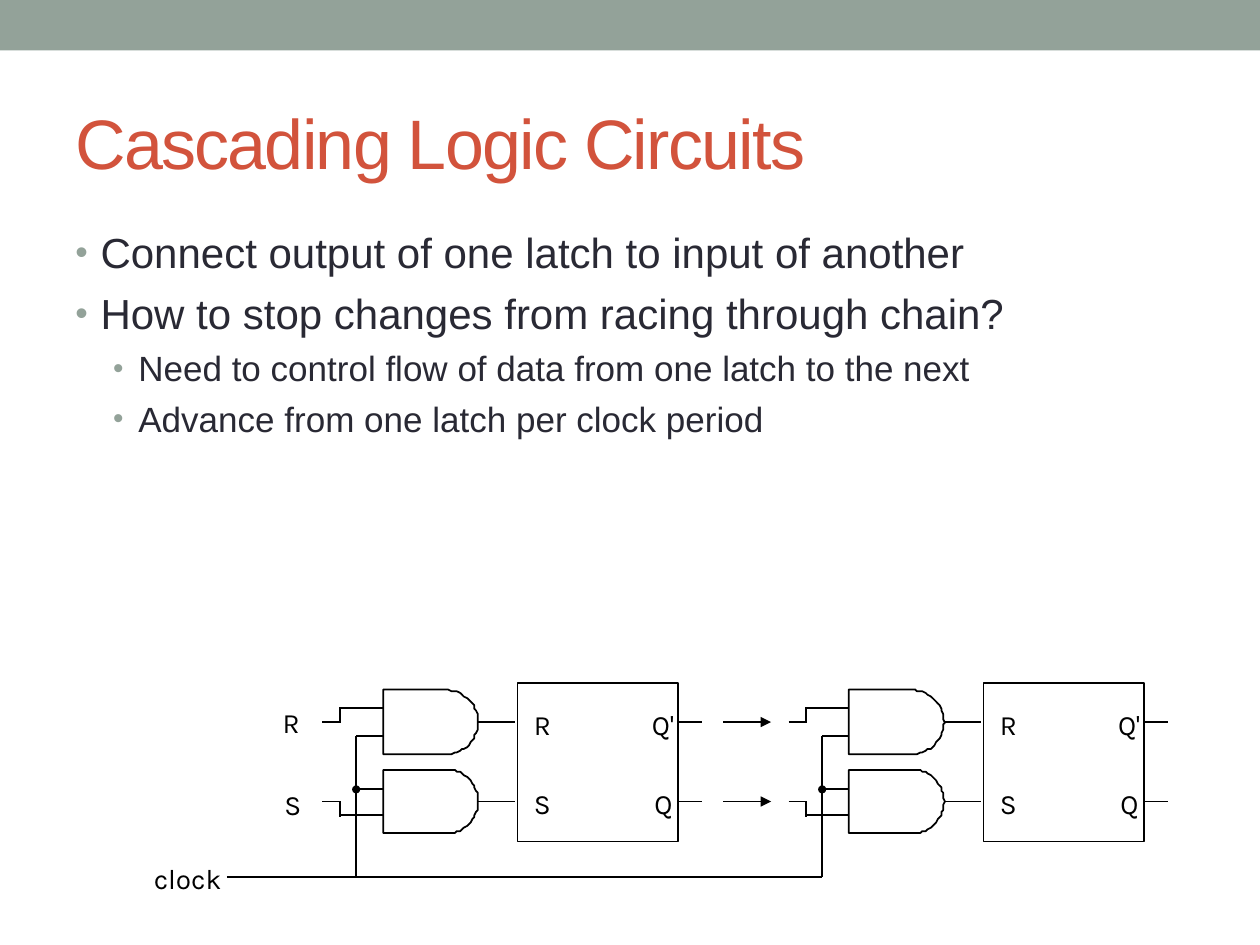
import math
from dataclasses import dataclass

import pptx
import pptx.dml.color
import pptx.enum.shapes
import pptx.enum.text
import pptx.oxml.ns
import pptx.util
from lxml import etree

Pt = pptx.util.Pt
Kind = pptx.enum.shapes.MSO_SHAPE
Align = pptx.enum.text.PP_ALIGN
Anchor = pptx.enum.text.MSO_ANCHOR
qn = pptx.oxml.ns.qn

INK, PAPER, SAGE, RUST, SLATE = "000000", "FFFFFF", "93A299", "D2533C", "292934"
ROWS = (412.6, 458.0)       # heights of the R and S signals
STAGES = (0, 266.3)         # left offset of each latch
BUS = 501.1                 # height of the clock line


@dataclass
class Wire:
    x1: float
    y1: float
    x2: float
    y2: float


@dataclass
class Label:
    text: str
    left: float
    top: float
    width: float
    lead: float = 20.8
    right: bool = False


@dataclass
class Point:
    text: str
    size: float
    indent: float


# Wires of one latch, placed for the first stage
WIRES = [
    Wire(184.3, ROWS[0], 194.6, ROWS[0]),
    Wire(194.4, 404.2, 194.4, ROWS[0]),
    Wire(194.4, 404.6, 218.9, 404.6),
    Wire(184.3, ROWS[1], 194.6, ROWS[1]),
    Wire(194.4, 466.6, 194.4, ROWS[1]),
    Wire(195.1, 465.8, 218.9, 465.8),
    Wire(203.5, 420.5, 218.9, 420.5),
    Wire(203.5, 450.7, 218.9, 450.7),
    Wire(203.5, 420.5, 203.5, BUS),
    *[Wire(272.9, y, 294.5, y) for y in ROWS],
    *[Wire(387.4, y, 401, y) for y in ROWS],
]
PINS = [
    Label("R", 303.6, 400.3, 29),
    Label("S", 303.6, 445.7, 29),
    Label("Q'", 343.6, 400.3, 43, right=True),
    Label("Q", 356.3, 445.7, 29.5, right=True),
]
INPUTS = [
    Label("clock", 54, 487.4, 74, 21.8, True),
    Label("R", 160, 398.5, 46, 21.8),
    Label("S", 161, 445, 46, 21.8),
]
POINTS = [
    Point("Connect output of one latch to input of another", 24, 14.4),
    Point("How to stop changes from racing through chain?", 24, 14.4),
    Point("Need to control flow of data from one latch to the next", 20, 36),
    Point("Advance from one latch per clock period", 20, 36),
]


def tint(code: str) -> pptx.dml.color.RGBColor:
    return pptx.dml.color.RGBColor.from_string(code)


def style(shape, fill: str, line: str | None = None) -> None:
    shape.shadow.inherit = False
    shape.fill.solid()
    shape.fill.fore_color.rgb = tint(fill)
    if line:
        shape.line.color.rgb = tint(line)
        shape.line.width = Pt(1)
    else:
        shape.line.fill.background()


def draw_shape(slide, kind, left: float, top: float, wide: float, high: float,
               fill: str, line: str | None = None) -> None:
    shape = slide.shapes.add_shape(kind, Pt(left), Pt(top), Pt(wide), Pt(high))
    style(shape, fill, line)


def draw_wire(slide, wire: Wire, dx: float = 0, arrow: bool = False) -> None:
    line = slide.shapes.add_connector(
        pptx.enum.shapes.MSO_CONNECTOR.STRAIGHT,
        Pt(wire.x1 + dx), Pt(wire.y1), Pt(wire.x2 + dx), Pt(wire.y2))
    line.line.color.rgb = tint(INK)
    line.line.width = Pt(1)
    props = line._element.spPr
    if arrow:
        etree.SubElement(props.find(qn("a:ln")), qn("a:tailEnd"), type="triangle")
    etree.SubElement(props, qn("a:effectLst"))


def draw_gate(slide, mid: float, dx: float) -> None:
    left, bend, half, steps = 218.9 + dx, 254.9 + dx, 18.3, 36
    turns = [math.pi * (i / steps - 0.5) for i in range(steps + 1)]
    arc = [(bend + half * math.cos(t), mid + half * math.sin(t)) for t in turns]
    pen = slide.shapes.build_freeform(left, mid - half, scale=Pt(1))
    pen.add_line_segments([*arc, (left, mid + half)], close=True)
    style(pen.convert_to_shape(), PAPER, INK)


def add_box(slide, left: float, top: float, wide: float, high: float):
    box = slide.shapes.add_textbox(Pt(left), Pt(top), Pt(wide), Pt(high))
    box.text_frame.word_wrap = True
    return box.text_frame


def add_run(para, text: str, size: float, face: str, hue: str):
    run = para.add_run()
    run.text = text
    run.font.size = Pt(size)
    run.font.name = face
    run.font.color.rgb = tint(hue)
    return run


def draw_label(slide, label: Label, dx: float = 0) -> None:
    frame = add_box(slide, label.left + dx, label.top, label.width, 31)
    frame.margin_left = frame.margin_right = Pt(1.5)
    frame.margin_top = frame.margin_bottom = Pt(2.2)
    para = frame.paragraphs[0]
    para.alignment = Align.RIGHT if label.right else Align.LEFT
    para.line_spacing = Pt(label.lead)
    add_run(para, label.text, 16, "Karla", INK)


def draw_stage(slide, dx: float) -> None:
    draw_shape(slide, Kind.RECTANGLE, 295.7 + dx, 390.2, 91.6, 90.7, PAPER, INK)
    for mid in ROWS:
        draw_gate(slide, mid, dx)
    for wire in WIRES:
        draw_wire(slide, wire, dx)
    draw_shape(slide, Kind.OVAL, 201.7 + dx, 449.3, 3.6, 3.6, INK, INK)
    for pin in PINS:
        draw_label(slide, pin, dx)


def add_point(para, point: Point) -> None:
    para.space_before = Pt(point.size / 4)
    props = para._p.get_or_add_pPr()
    props.set("marL", str(Pt(point.indent)))
    props.set("indent", str(-Pt(14.4)))
    hue = etree.SubElement(props, qn("a:buClr"))
    etree.SubElement(hue, qn("a:srgbClr"), val=SAGE)
    etree.SubElement(props, qn("a:buSzPct"), val="85000")
    etree.SubElement(props, qn("a:buFont"), typeface="Arial")
    etree.SubElement(props, qn("a:buChar"), char="•")
    add_run(para, point.text, point.size, "Arial", SLATE)


def main() -> None:
    deck = pptx.Presentation()
    deck.slide_width, deck.slide_height = Pt(720), Pt(540)
    slide = deck.slides.add_slide(deck.slide_layouts[6])

    # Top band
    draw_shape(slide, Kind.RECTANGLE, 0, 0, 720, 28.8, SAGE)

    # Circuit
    for dx in STAGES:
        draw_stage(slide, dx)
    draw_wire(slide, Wire(129.6, BUS, 470, BUS))
    for y in ROWS:
        draw_wire(slide, Wire(413.3, y, 440.6, y), arrow=True)
    for label in INPUTS:
        draw_label(slide, label)

    # Title
    frame = add_box(slide, 36, 42, 648, 78)
    frame.vertical_anchor = Anchor.MIDDLE
    run = add_run(frame.paragraphs[0], "Cascading Logic Circuits", 40, "Arial", RUST)
    run.font._element.set("spc", "-100")

    # Bullets
    frame = add_box(slide, 36, 126, 648, 384)
    for i, point in enumerate(POINTS):
        add_point(frame.add_paragraph() if i else frame.paragraphs[0], point)

    deck.save("out.pptx")


if __name__ == "__main__":
    main()
